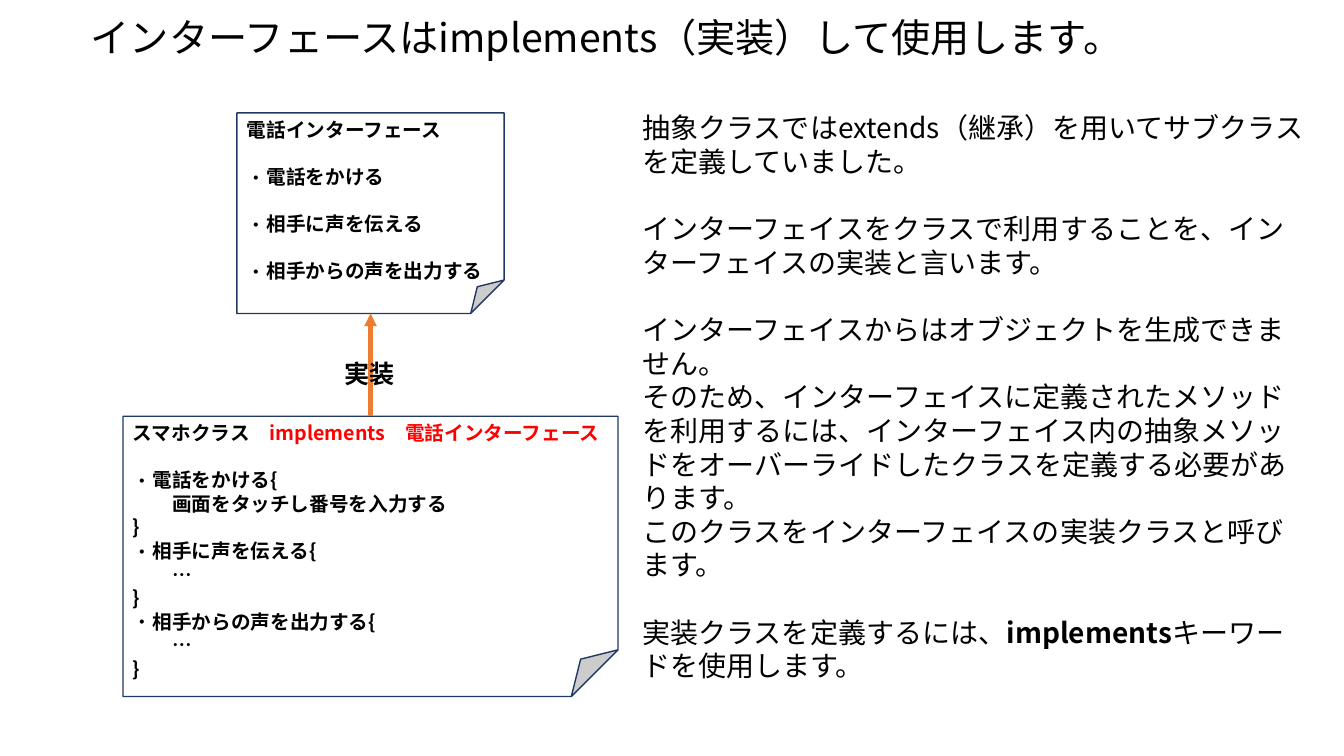
from lxml.etree import SubElement
from pptx import Presentation
from pptx.dml.color import RGBColor
from pptx.enum.shapes import MSO_CONNECTOR as CONN, MSO_SHAPE as SHAPE
from pptx.enum.text import MSO_ANCHOR as ANCHOR, MSO_AUTO_SIZE as FIT, PP_ALIGN as ALIGN
from pptx.oxml.ns import qn
from pptx.util import Inches, Pt

FONT = "Noto Sans CJK JP"
BLACK, RED, WHITE, NAVY, ORANGE = "000000", "FF0000", "FFFFFF", "203864", "ED7D31"
INDENTS = {"plain": (0, 0), "bullet": (14, -14), "code": (28, 0)}

TITLE = [("インターフェースはimplements（実装）して使用します。", "plain", 0)]
PHONE = [
    ("電話インターフェース", "plain", 0),
    ("電話をかける", "bullet", 1),
    ("相手に声を伝える", "bullet", 1),
    ("相手からの声を出力する", "bullet", 1),
]
SMARTPHONE = [
    (["スマホクラス　", ("implements　電話インターフェース", {"color": RED})], "plain", 0),
    ("電話をかける{", "bullet", 1),
    ("画面をタッチし番号を入力する", "code", 0),
    ("}", "plain", 0),
    ("相手に声を伝える{", "bullet", 0),
    ("…", "code", 0),
    ("}", "plain", 0),
    ("相手からの声を出力する{", "bullet", 0),
    ("…", "code", 0),
    ("}", "plain", 0),
]
EXPLANATION = [
    ("抽象クラスではextends（継承）を用いてサブクラスを定義していました。", "plain", 0),
    ("インターフェイスをクラスで利用することを、インターフェイスの実装と言います。", "plain", 1),
    ("インターフェイスからはオブジェクトを生成できません。", "plain", 1),
    ("そのため、インターフェイスに定義されたメソッドを利用するには、インターフェイス内の"
     "抽象メソッドをオーバーライドしたクラスを定義する必要があります。", "plain", 0),
    ("このクラスをインターフェイスの実装クラスと呼びます。", "plain", 0),
    (["実装クラスを定義するには、", ("implements", {"bold": True}), "キーワードを使用します。"],
     "plain", 1),
]


def rgb(value):
    return RGBColor.from_string(value)


def style_run(r, fmt):
    for key, value in fmt.items():
        if key == "color":
            r.font.color.rgb = rgb(value)
        else:
            setattr(r.font, key, value)
    SubElement(r.font._element, qn("a:ea"), typeface=FONT)


def set_marker(p, kind):
    margin, indent = INDENTS[kind]
    pPr = p._p.get_or_add_pPr()
    pPr.set("marL", str(Pt(margin)))
    pPr.set("indent", str(Pt(indent)))
    if kind == "bullet":
        SubElement(pPr, qn("a:buFont"), typeface=FONT)
        SubElement(pPr, qn("a:buChar"), char="・")
    else:
        SubElement(pPr, qn("a:buNone"))


def write(tf, paragraphs, size, bold=False, wrap=True, anchor=ANCHOR.TOP):
    frame = {"word_wrap": wrap, "auto_size": FIT.NONE, "vertical_anchor": anchor}
    for key, value in frame.items():
        setattr(tf, key, value)
    base = {"name": FONT, "size": Pt(size), "bold": bold, "color": BLACK}
    for i, (content, kind, gap) in enumerate(paragraphs):
        p = tf.add_paragraph() if i else tf.paragraphs[0]
        set_marker(p, kind)
        p.alignment = ALIGN.LEFT
        p.space_before = Pt(gap * size * 1.2)
        for part in [content] if isinstance(content, str) else content:
            text, fmt = (part, {}) if isinstance(part, str) else part
            r = p.add_run()
            r.text = text
            style_run(r, base | fmt)


def place(sp, box):
    for key, value in zip(("left", "top", "width", "height"), box):
        setattr(sp, key, Inches(value))


def add_title(s, box):
    sp = s.shapes.title
    place(sp, box)
    write(sp.text_frame, TITLE, 28, anchor=ANCHOR.MIDDLE)


def add_explanation(s, box):
    sp = s.placeholders[1]
    place(sp, box)
    write(sp.text_frame, EXPLANATION, 20)


def add_note(s, box, paragraphs):
    sp = s.shapes.add_shape(SHAPE.FOLDED_CORNER, *map(Inches, box))
    sp.shadow.inherit = False
    sp.fill.solid()
    sp.fill.fore_color.rgb = rgb(WHITE)
    sp.line.color.rgb = rgb(NAVY)
    sp.line.width = Pt(1)
    write(sp.text_frame, paragraphs, 14, bold=True)


def add_arrow(s, x, start, end):
    sp = s.shapes.add_connector(CONN.STRAIGHT, *map(Inches, (x, start, x, end)))
    sp.line.color.rgb = rgb(ORANGE)
    sp.line.width = Pt(3)
    SubElement(sp.line._get_or_add_ln(), qn("a:tailEnd"), type="triangle")
    SubElement(sp._element.spPr, qn("a:effectLst"))


def add_diagram(s, box):
    x, y, w, h = box
    phone_w, phone_h, class_h = 2.65, 1.99, 2.78
    label_w, label_h = 0.71, 0.4
    center, class_top, phone_bottom = x + w / 2, y + h - class_h, y + phone_h
    add_note(s, (x, class_top, w, class_h), SMARTPHONE)
    add_note(s, (center - phone_w / 2, y, phone_w, phone_h), PHONE)
    add_arrow(s, center, class_top, phone_bottom)
    label_top = (phone_bottom + class_top) / 2 - 0.11
    label = (center - label_w / 2, label_top, label_w, label_h)
    sp = s.shapes.add_textbox(*map(Inches, label))
    write(sp.text_frame, [("実装", "plain", 0)], 18, bold=True, wrap=False)


def main():
    prs = Presentation()
    prs.slide_width, prs.slide_height = Inches(13.33), Inches(7.5)
    s = prs.slides.add_slide(prs.slide_layouts[1])
    add_title(s, (0.8, 0.08, 11.27, 0.57))
    add_diagram(s, (1.22, 1.12, 4.91, 5.79))
    add_explanation(s, (6.27, 1.05, 6.8, 5.82))
    prs.save("out.pptx")


if __name__ == "__main__":
    main()
